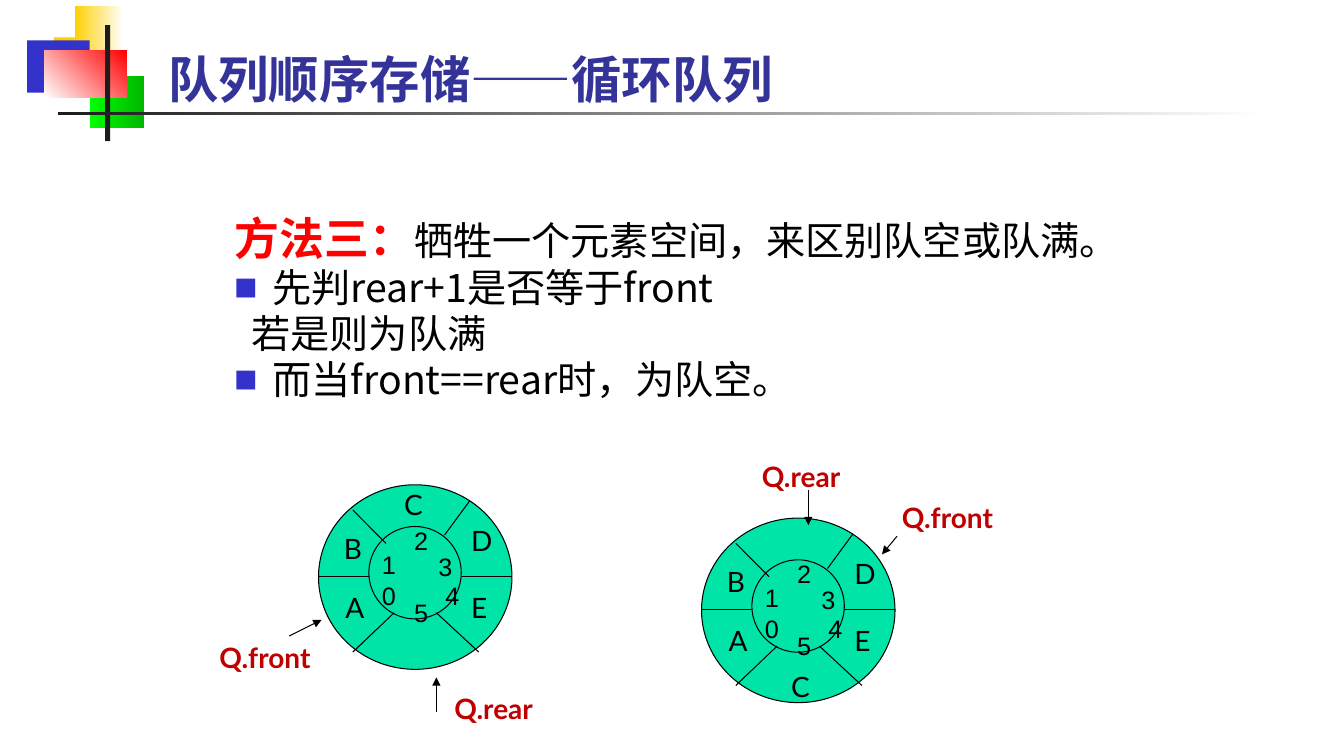
from lxml import etree
from pptx import Presentation
from pptx.dml.color import RGBColor
from pptx.enum.shapes import MSO_CONNECTOR, MSO_SHAPE
from pptx.oxml.ns import qn
from pptx.util import Pt

RECT, OVAL = MSO_SHAPE.RECTANGLE, MSO_SHAPE.OVAL
STRAIGHT = MSO_CONNECTOR.STRAIGHT
CJK = "Noto Sans CJK SC"
BLACK, GREEN, DARK_RED = "000000", "00E4A8", "C00000"

# Ring parts, measured from the ring's top left corner
RING_SIZE = (138.2, 131.8)
HUB = (36, 29.8, 66, 66)
SPOKES = [
    (0, 65.5, 36, 65.5), (102, 65.5, 138.2, 65.5),
    (24.5, 18, 48.2, 41.8), (84.2, 91.4, 114.5, 119.5),
    (108, 11.5, 90, 36), (54, 91.4, 24.5, 119.5),
]
ELEMENTS = {"A": (12.2, 72), "B": (11, 29.8), "E": (102, 72), "D": (102, 24.2)}
# Index: left, top, width, left inset
INDEXES = {
    "0": (38.2, 64.8, 17.3, 7.2), "1": (38.2, 42.5, 17.3, 7.2),
    "2": (61.2, 25.5, 17.3, 7.2), "3": (82.1, 44, 11.5, 3.6),
    "4": (83.5, 64.8, 17.3, 7.2), "5": (61.2, 76.5, 17.3, 7.2),
}


def color(value):
    return RGBColor.from_string(value)


def add_block(shapes, shape_type, box, fill, outline=None):
    block = shapes.add_shape(shape_type, *map(Pt, box))
    block.shadow.inherit = False
    block.fill.solid()
    block.fill.fore_color.rgb = color(fill)
    if outline:
        block.line.color.rgb = color(outline)
        block.line.width = Pt(0.75)
    else:
        block.line.fill.background()
    return block


def add_gradient_block(shapes, box, start, end, angle=0):
    block = add_block(shapes, RECT, box, start)
    block.fill.gradient()
    block.fill.gradient_angle = angle
    for stop, value in zip(block.fill.gradient_stops, (start, end)):
        stop.color.rgb = color(value)


def add_line(shapes, ends, arrow=False):
    line = shapes.add_connector(STRAIGHT, *map(Pt, ends))
    line.line.color.rgb = color(BLACK)
    line.line.width = Pt(0.75)
    if arrow:
        etree.SubElement(line.line._get_or_add_ln(), qn("a:tailEnd"), type="triangle")
    etree.SubElement(line._element.spPr, qn("a:effectLst"))


def style_run(run, font, size, value, bold=False):
    run.font.name = font
    run.font.size = Pt(size)
    run.font.bold = bold
    run.font.color.rgb = color(value)
    etree.SubElement(run._r.get_or_add_rPr(), qn("a:ea"), typeface=CJK)


def add_label(shapes, box, text, font, size, value, bold=False, inset=7.2):
    label = shapes.add_textbox(*map(Pt, box))
    frame = label.text_frame
    frame.word_wrap = True
    frame.margin_left = Pt(inset)
    frame.text = text
    style_run(frame.paragraphs[0].runs[0], font, size, value, bold)


def draw_header(slide, left, top):
    shapes = slide.shapes

    def place(x, y, width, height):
        return left + x, top + y, width, height

    # Overlapping colour blocks
    add_block(shapes, RECT, place(18.9, 22.4, 46, 37.4), "FFCF01")
    add_gradient_block(shapes, place(34, 0, 34.6, 37.4), "FFCF01", "FFFFFF")
    add_block(shapes, RECT, place(0, 24.5, 44.6, 37.4), "3333CC")
    add_gradient_block(shapes, place(44.9, 49.7, 38.9, 37.4), "00FF00", "00B600")
    add_gradient_block(shapes, place(12.2, 31.7, 59, 33.5), "FFFFFF", "FF0000", 45)
    # Crossing bars
    add_block(shapes, RECT, place(55.6, 13.7, 3.6, 82.8), "1C1C1C")
    add_gradient_block(shapes, place(21.9, 75.6, 864, 2.5), "1C1C1C", "FFFFFF")
    # Title
    add_label(shapes, place(93.6, 26.7, 478.8, 51.1), "队列顺序存储——循环队列",
              "Arial Narrow", 36, "333399", True)


def add_bullet(paragraph):
    properties = paragraph._p.get_or_add_pPr()
    bullet_color = etree.SubElement(properties, qn("a:buClr"))
    etree.SubElement(bullet_color, qn("a:srgbClr"), val="3333CC")
    etree.SubElement(properties, qn("a:buSzPct"), val="60000")
    etree.SubElement(properties, qn("a:buFont"), typeface=CJK)
    etree.SubElement(properties, qn("a:buChar"), char="■")


def draw_method(slide, box):
    frame = slide.shapes.add_textbox(*map(Pt, box)).text_frame
    frame.word_wrap = True
    heading = "方法三："
    # Text, first-line indent, bulleted
    lines = [
        (heading, -27, False),
        ("先判rear+1是否等于front", -27, True),
        ("若是则为队满", -15, False),
        ("而当front==rear时，为队空。", -27, True),
    ]
    for number, (text, indent, bulleted) in enumerate(lines):
        paragraph = frame.add_paragraph() if number else frame.paragraphs[0]
        paragraph.text = text
        paragraph.line_spacing = 0.9
        if number:
            paragraph.space_before = Pt(2.6)
        properties = paragraph._p.get_or_add_pPr()
        properties.set("marL", str(Pt(27)))
        properties.set("indent", str(Pt(indent)))
        if bulleted:
            add_bullet(paragraph)
        if text == heading:
            style_run(paragraph.runs[0], CJK, 32, "FF0000", True)
            paragraph.add_run().text = "牺牲一个元素空间，来区别队空或队满。"
        style_run(paragraph.runs[-1], CJK, 28, BLACK)


def draw_ring(slide, left, top, c_position, pointers):
    shapes = slide.shapes.add_group_shape().shapes

    def place(x, y, width, height):
        return left + x, top + y, width, height

    def span(x1, y1, x2, y2):
        return left + x1, top + y1, left + x2, top + y2

    # Ring, hub and sector borders
    add_block(shapes, OVAL, place(0, 0, *RING_SIZE), GREEN, BLACK)
    add_block(shapes, OVAL, place(*HUB), GREEN, BLACK)
    for spoke in SPOKES:
        add_line(shapes, span(*spoke))
    # Stored elements and their indexes
    for element, (x, y) in {**ELEMENTS, "C": c_position}.items():
        add_label(shapes, place(x, y, 30.2, 31), element, "Lato", 20, BLACK)
    for index, (x, y, width, inset) in INDEXES.items():
        add_label(shapes, place(x, y, width, 28.8), index, "Arial", 18, BLACK, inset=inset)
    # Queue pointers
    for name, (x, y, width), arrow in pointers:
        add_label(shapes, place(x, y, width, 31), name, "Lato", 20, DARK_RED, True)
        add_line(shapes, span(*arrow), arrow=True)


def main():
    deck = Presentation()
    deck.slide_width, deck.slide_height = Pt(960), Pt(540)
    slide = deck.slides.add_slide(deck.slide_layouts[6])
    draw_header(slide, 19.4, 4.3)
    draw_method(slide, (160.6, 151.2, 660.2, 282.2))
    # Full queue before C is removed, then after C is added at the end
    draw_ring(slide, 227.5, 346.3, (54, -1.4), [
        ("Q.rear", (90, 144, 90), (84.2, 162, 84.2, 137.5)),
        ("Q.front", (-77.8, 108, 102.2), (-20.9, 108, 2.2, 96.5)),
    ])
    draw_ring(slide, 501.1, 370.1, (56.9, 104.4), [
        ("Q.rear", (36, -45.4, 90), (76.3, -20.2, 76.3, 5)),
        ("Q.front", (136.1, -15.8, 102.2), (139.7, 12.9, 128.9, 25.9)),
    ])
    deck.save("out.pptx")


if __name__ == "__main__":
    main()
